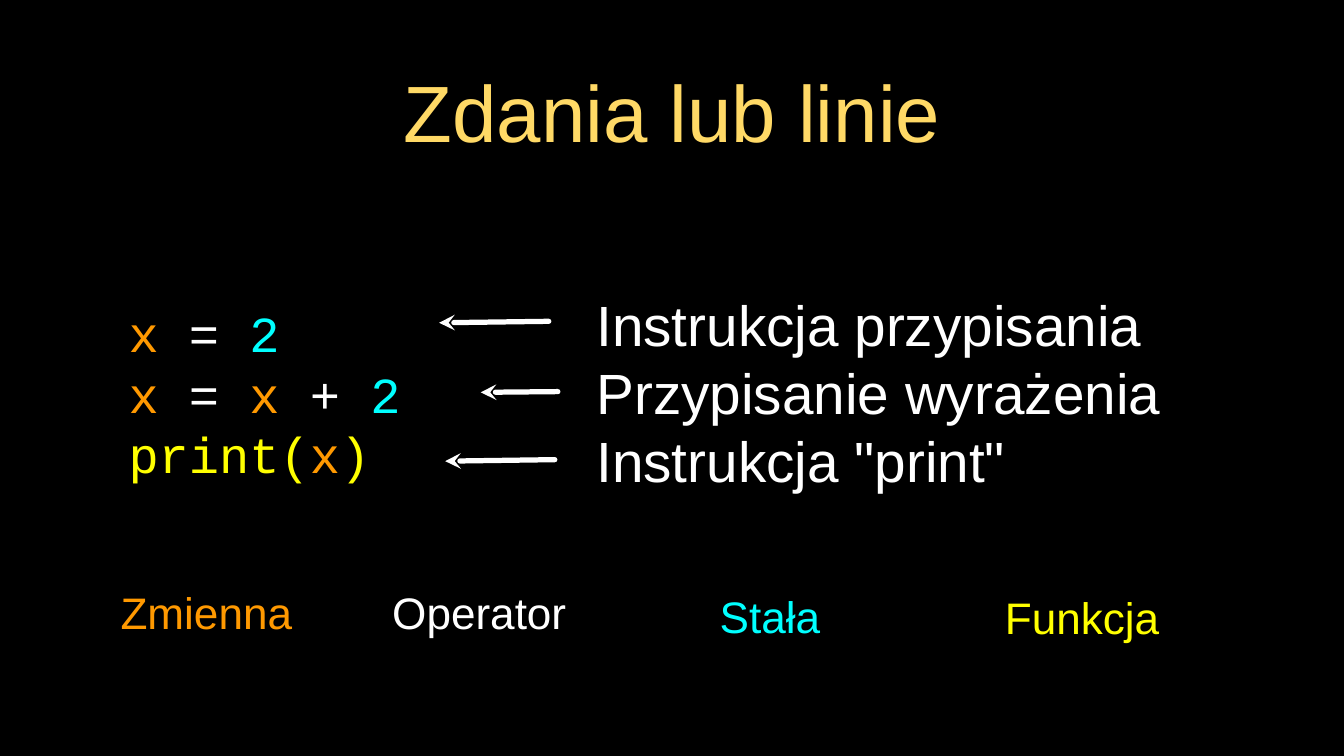
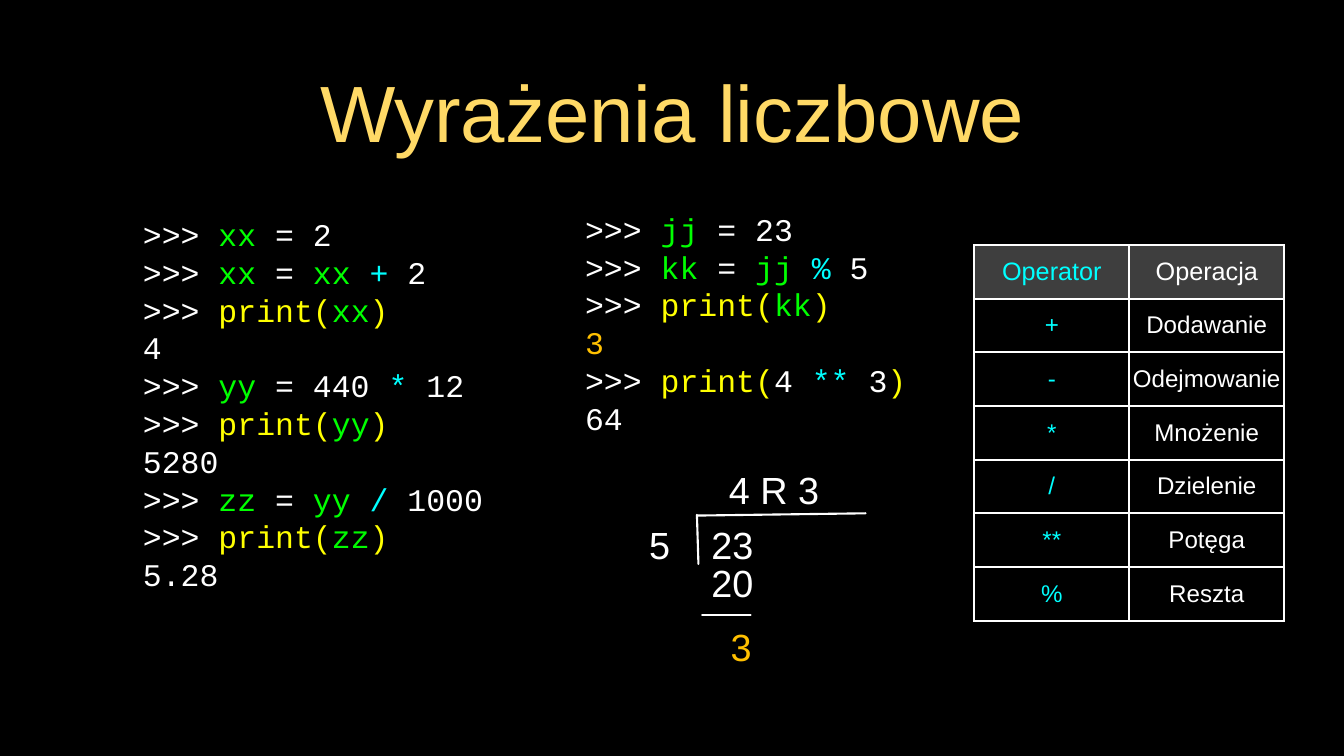
from lxml import etree
from pptx import Presentation
from pptx.dml.color import RGBColor
from pptx.enum.shapes import MSO_CONNECTOR
from pptx.enum.text import MSO_ANCHOR, PP_ALIGN
from pptx.oxml.ns import qn
from pptx.util import Inches, Pt

STRAIGHT = MSO_CONNECTOR.STRAIGHT
MIDDLE = MSO_ANCHOR.MIDDLE
LEFT, CENTER = PP_ALIGN.LEFT, PP_ALIGN.CENTER

COLORS = {
    "black": "000000", "white": "FFFFFF", "title": "FFD966",
    "orange": "FF9900", "cyan": "00FFFF", "yellow": "FFFF00",
    "green": "00FF00", "dark_green": "00FA00", "gold": "FFC000",
    "gray": "7F7F7F",
}
SANS, MONO = "Arial", "Courier New"
LINE_PITCH = 1.2
PROMPT = (">>> ", "white")


def rgb(name):
    """Return the named colour."""
    return RGBColor.from_string(COLORS[name])


def print_call(name, color):
    """Return the spans of a print call on a variable."""
    return [("print(", "yellow"), (name, color), (")", "yellow")]


class SlideBuilder:
    """Holds the shared style and the current slide."""

    def __init__(self):
        """Start a black widescreen deck."""
        self.deck = Presentation()
        self.deck.slide_width = Inches(17.78)
        self.deck.slide_height = Inches(10)
        fill = self.deck.slide_master.background.fill
        fill.solid()
        fill.fore_color.rgb = rgb("black")
        self.page = None

    def style(self, para, size, colors, font=SANS, align=CENTER):
        """Format a paragraph, giving each run its colour."""
        para.alignment = align
        for span, color in zip(para.runs, colors):
            span.font.name = font
            span.font.size = Pt(size)
            span.font.color.rgb = rgb(color)

    def frame(self, holder, inset):
        """Set equal margins and middle anchoring on a text frame or cell."""
        holder.margin_left = holder.margin_right = Inches(inset)
        holder.margin_top = holder.margin_bottom = Inches(inset)
        holder.vertical_anchor = MIDDLE

    def new_slide(self, title):
        """Add a slide with the shared title style."""
        self.page = self.deck.slides.add_slide(self.deck.slide_layouts[5])
        box = self.page.shapes.title
        box.left, box.top = Inches(0.89), Inches(0.86)
        box.width, box.height = Inches(16), Inches(1.21)
        self.frame(box.text_frame, 0.04)
        box.text_frame.text = title
        self.style(box.text_frame.paragraphs[0], 76, ["title"])

    def text_box(self, left, top, width, height, wrap):
        """Add an empty text box and return its frame."""
        box = self.page.shapes.add_textbox(
            Inches(left), Inches(top), Inches(width), Inches(height))
        box.text_frame.word_wrap = wrap
        self.frame(box.text_frame, 0)
        return box.text_frame

    def label(self, text, left, top, width, height, size, color="white"):
        """Add one centred line of text."""
        frame = self.text_box(left, top, width, height, False)
        frame.text = text
        self.style(frame.paragraphs[0], size, [color])

    def lines(self, rows, left, top, width, height, size, font=MONO):
        """Add left-aligned lines, each a list of (text, colour) spans."""
        frame = self.text_box(left, top, width, height, True)
        for index, row in enumerate(rows):
            para = frame.add_paragraph() if index else frame.paragraphs[0]
            para.line_spacing = Pt(size * LINE_PITCH)
            for text, _ in row:
                para.add_run().text = text
            self.style(para, size, [color for _, color in row], font, LEFT)

    def line(self, start, end, weight, arrow=False):
        """Draw a white line, with an arrowhead at its start if wanted."""
        x1, y1 = start
        x2, y2 = end
        connector = self.page.shapes.add_connector(
            STRAIGHT, Inches(x1), Inches(y1), Inches(x2), Inches(y2))
        connector.line.color.rgb = rgb("white")
        connector.line.width = Pt(weight)
        shape_props = connector.element.spPr
        outline = shape_props.find(qn("a:ln"))
        outline.set("cap", "rnd")
        if arrow:
            etree.SubElement(outline, qn("a:headEnd"), type="stealth")
        etree.SubElement(shape_props, qn("a:effectLst"))

    def cell_borders(self, cell, weight):
        """Give a cell white borders on all sides."""
        props = cell._tc.get_or_add_tcPr()
        for index, side in enumerate(("lnL", "lnR", "lnT", "lnB")):
            border = etree.Element(qn("a:" + side), w=str(Pt(weight)))
            fill = etree.SubElement(border, qn("a:solidFill"))
            etree.SubElement(fill, qn("a:srgbClr"), val=COLORS["white"])
            props.insert(index, border)

    def header_fill(self, cell):
        """Fill a header cell with translucent gray."""
        cell.fill.solid()
        cell.fill.fore_color.rgb = rgb("gray")
        color = cell._tc.tcPr.find(qn("a:solidFill")).find(qn("a:srgbClr"))
        etree.SubElement(color, qn("a:alpha"), val="49000")

    def table(self, rows, left, top, column_width, row_height):
        """Add a two-colour grid with a gray header row."""
        columns = len(rows[0])
        table = self.page.shapes.add_table(
            len(rows), columns, Inches(left), Inches(top),
            Inches(column_width * columns),
            Inches(row_height * len(rows))).table
        table.first_row = table.horz_banding = False
        for row_index, row in enumerate(rows):
            for column, text in enumerate(row):
                cell = table.cell(row_index, column)
                self.frame(cell, 0.04)
                cell.text = text
                self.style(cell.text_frame.paragraphs[0],
                           23 if row_index else 24,
                           ["white" if column else "cyan"])
                if row_index:
                    cell.fill.background()
                else:
                    self.header_fill(cell)
                self.cell_borders(cell, 2)


def add_statements(builder):
    """Build the slide on statements and their parts."""
    builder.new_slide("Zdania lub linie")
    builder.lines([
        [("x ", "orange"), ("= ", "white"), ("2", "cyan")],
        [("x ", "orange"), ("= ", "white"), ("x ", "orange"),
         ("+ ", "white"), ("2", "cyan")],
        print_call("x", "orange"),
    ], 1.7, 2.99, 4.38, 4.42, 48)
    for text, left, top, width, color in (
            ("Zmienna", 1.45, 7.7, 2.56, "orange"),
            ("Operator", 5.14, 7.7, 2.4, "white"),
            ("Stała", 8.84, 7.75, 2.69, "cyan"),
            ("Funkcja", 12.67, 7.77, 3.29, "yellow")):
        builder.label(text, left, top, width, 0.79, 42, color)
    meanings = ("Instrukcja przypisania", "Przypisanie wyrażenia",
                'Instrukcja "print"')
    builder.lines([[(text, "white")] for text in meanings],
                  7.89, 2.97, 9.63, 4.42, 54, SANS)
    for start, end in (((5.81, 4.27), (7.26, 4.25)),
                       ((6.36, 5.19), (7.38, 5.18)),
                       ((5.89, 6.1), (7.34, 6.08))):
        builder.line(start, end, 5, arrow=True)


def add_expressions(builder):
    """Build the slide on numeric expressions."""
    builder.new_slide("Wyrażenia liczbowe")
    builder.lines([
        [PROMPT, ("xx", "green"), (" = 2", "white")],
        [PROMPT, ("xx", "green"), (" = ", "white"), ("xx ", "green"),
         ("+", "cyan"), (" 2", "white")],
        [PROMPT] + print_call("xx", "green"),
        [("4", "white")],
        [PROMPT, ("yy", "green"), (" = 440 ", "white"), ("*", "cyan"),
         (" 12", "white")],
        [PROMPT] + print_call("yy", "green"),
        [("5280", "white")],
        [PROMPT, ("zz", "green"), (" = ", "white"), ("yy ", "green"),
         ("/", "cyan"), (" 1000", "white")],
        [PROMPT] + print_call("zz", "dark_green"),
        [("5.28", "white")],
    ], 1.89, 2.44, 4.88, 5.81, 30)
    builder.lines([
        [PROMPT, ("jj", "green"), (" = 23", "white")],
        [PROMPT, ("kk", "green"), (" = ", "white"), ("jj ", "green"),
         ("% ", "cyan"), ("5", "white")],
        [PROMPT] + print_call("kk", "green"),
        [("3", "gold")],
        [PROMPT, ("print(", "yellow"), ("4 ", "white"), ("**", "cyan"),
         (" 3", "white"), (")", "yellow")],
        [("64", "white")],
    ], 7.74, 2.51, 4.4, 3.53, 30)
    builder.table([
        ("Operator", "Operacja"), ("+", "Dodawanie"), ("-", "Odejmowanie"),
        ("*", "Mnożenie"), ("/", "Dzielenie"), ("**", "Potęga"),
        ("%", "Reszta"),
    ], 12.89, 3.24, 2.05, 0.71)
    for start, end in (((9.22, 6.81), (9.24, 7.46)),
                       ((9.22, 6.82), (11.45, 6.79)),
                       ((9.29, 8.14), (9.93, 8.14))):
        builder.line(start, end, 2)
    for text, left, top, width, color in (
            ("5", 8.54, 6.86, 0.37, "white"),
            ("23", 9.38, 6.86, 0.62, "white"),
            ("4 R 3", 9.64, 6.13, 1.2, "white"),
            ("20", 9.38, 7.36, 0.62, "white"),
            ("3", 9.62, 8.21, 0.37, "gold")):
        builder.label(text, left, top, width, 0.68, 36, color)


def main():
    """Build both slides and save the deck."""
    builder = SlideBuilder()
    add_statements(builder)
    add_expressions(builder)
    builder.deck.save("out.pptx")


main()
